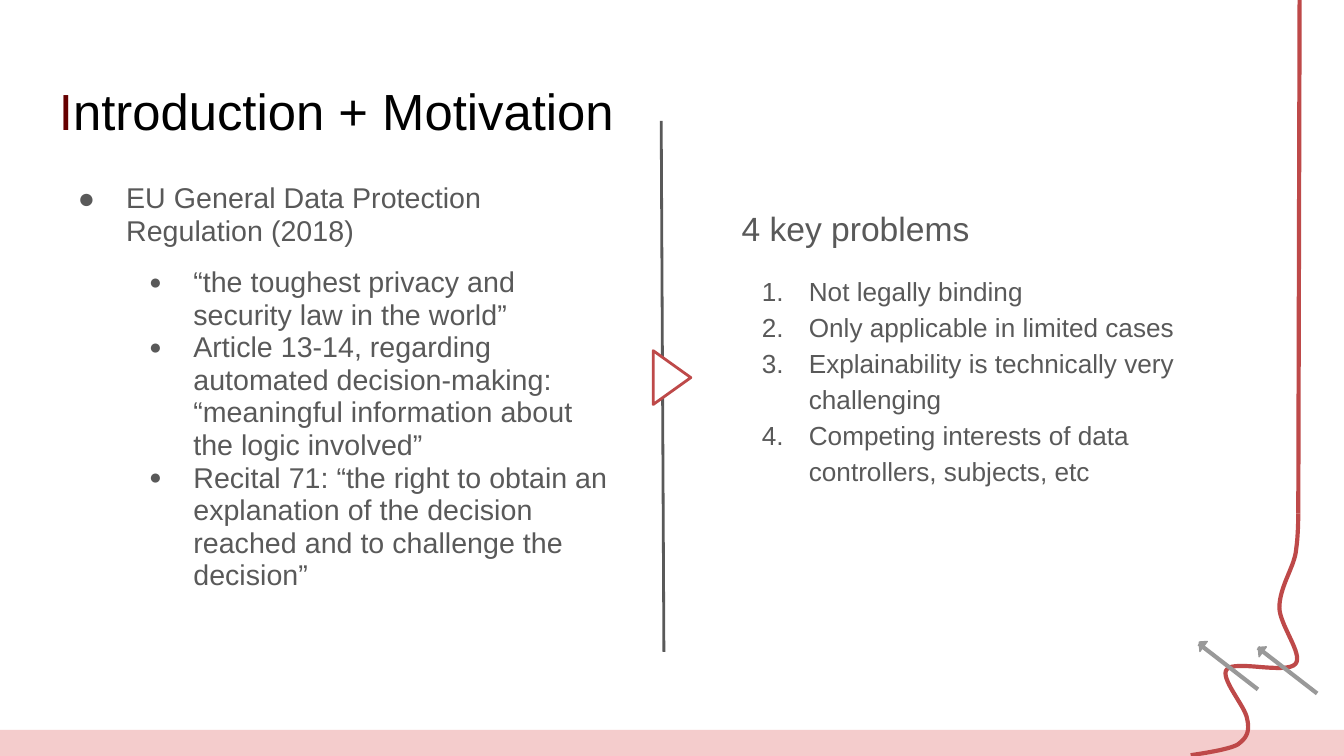
"""Build the Introduction + Motivation slide on a grid of 100 columns by 56.25 rows."""
from lxml import etree
from pptx import Presentation
from pptx.dml.color import RGBColor
from pptx.enum.shapes import MSO_CONNECTOR, MSO_SHAPE
from pptx.oxml.ns import qn
from pptx.util import Inches, Pt

STRAIGHT = MSO_CONNECTOR.STRAIGHT
RECTANGLE = MSO_SHAPE.RECTANGLE
TRIANGLE = MSO_SHAPE.ISOSCELES_TRIANGLE
RIGHT_TRIANGLE = MSO_SHAPE.RIGHT_TRIANGLE
CELL = Inches(0.1)
COLOURS = {
    "black": "000000", "maroon": "660000", "text": "595959", "white": "FFFFFF",
    "pink": "F4CCCC", "red": "BE4949", "grey": "999999",
}


def cells(*counts):
    return [round(n * CELL) for n in counts]


def write(p, text, size=14, colour="text", left=0, hang=0, spacing=1, before=0,
          bullet=None, bullet_size=100):
    p.line_spacing = spacing
    p.space_before = Pt(before)
    pPr = p._p.get_or_add_pPr()
    margin, indent = cells(left, -hang)
    pPr.set("marL", str(margin))
    pPr.set("indent", str(indent))
    if bullet:
        clr = etree.SubElement(pPr, qn("a:buClr"))
        etree.SubElement(clr, qn("a:srgbClr"), val=COLOURS[colour])
        etree.SubElement(pPr, qn("a:buSzPct"), val=str(bullet_size * 1000))
        etree.SubElement(pPr, qn("a:buFont"), typeface="Arial")
        if bullet == "1.":
            etree.SubElement(pPr, qn("a:buAutoNum"), type="arabicPeriod")
        else:
            etree.SubElement(pPr, qn("a:buChar"), char=bullet)
    r = p.add_run()
    r.text = text
    r.font.name = "Arial"
    r.font.size = Pt(size)
    r.font.color.rgb = RGBColor.from_string(COLOURS[colour])


prs = Presentation()
prs.slide_width, prs.slide_height = cells(100, 56.25)
s = prs.slides.add_slide(prs.slide_layouts[6])

frames = {}
for name, box in {
    "problems": (49.2, 14, 43.4, 37.4),
    "title": (3.4, 4.9, 93.2, 6.3),
    "law": (3.4, 12.6, 43.1, 37.4),
}.items():
    tf = s.shapes.add_textbox(*cells(*box)).text_frame
    tf.word_wrap = True
    tf.margin_left = tf.margin_right = tf.margin_top = tf.margin_bottom = CELL
    frames[name] = tf

p = frames["title"].paragraphs[0]
write(p, "I", size=27.2, colour="maroon")
write(p, "ntroduction + Motivation", size=27.2, colour="black")

write(frames["problems"].paragraphs[0], "4 key problems", size=18, left=5, spacing=1.15)
for i, text in enumerate([
    "Not legally binding",
    "Only applicable in limited cases",
    "Explainability is technically very challenging",
    "Competing interests of data controllers, subjects, etc",
]):
    write(frames["problems"].add_paragraph(), text, left=10, hang=3.5, spacing=1.15,
          before=0 if i else 12, bullet="1.")

write(frames["law"].paragraphs[0], "EU General Data Protection Regulation (2018)",
      size=15.3, left=5, hang=3.6, spacing=0.95, bullet="●")
for i, text in enumerate([
    "“the toughest privacy and security law in the world”",
    "Article 13-14, regarding automated decision-making: "
    "“meaningful information about the logic involved”",
    "Recital 71: “the right to obtain an explanation of the decision "
    "reached and to challenge the decision”",
]):
    write(frames["law"].add_paragraph(), text, size=15.3, left=10, hang=3.3, spacing=0.95,
          before=0 if i else 10, bullet="●", bullet_size=74)

footer = s.shapes.add_shape(RECTANGLE, *cells(0, 54.3, 100, 1.95))

thread = [
    (88.6, 56.2), (89.2, 56.1), (91.4, 55.8), (92.1, 55.4),
    (92.8, 54.9), (93, 54.4), (92.8, 53.5),
    (92.7, 52.6), (90.7, 50.4), (91.3, 49.8),
    (91.9, 49.1), (95.7, 50.2), (96.4, 49.4),
    (97, 48.7), (95.2, 46.5), (95.2, 45.2),
    (95.2, 43.8), (96.2, 42.3), (96.4, 41.2),
    (96.6, 40), (96.6, 38.7), (96.6, 38.2),
]
STEPS = 16
points = []
for i in range(0, len(thread) - 1, 3):
    for step in range(1, STEPS + 1):
        t = step / STEPS
        weights = ((1 - t) ** 3, 3 * t * (1 - t) ** 2, 3 * t * t * (1 - t), t ** 3)
        points.append(cells(*(sum(w * c for w, c in zip(weights, axis))
                              for axis in zip(*thread[i:i + 4]))))
builder = s.shapes.build_freeform(*cells(*thread[0]))
builder.add_line_segments(points, close=False)
curve = builder.convert_to_shape()

styled = [(footer, "pink", None, 0), (curve, None, "red", 2.25)]
lines = [((96.6, 38.2, 96.7, -0.1), "red", 2.25), ((49.2, 9, 49.4, 48.5), "text", 1.5)]
for x, y in [(89.2, 47.9), (93.6, 48.2)]:
    lines.append(((x, y, x + 4.4, y + 3.4), "grey", 2.25))
for ends, colour, width in lines:
    line = s.shapes.add_connector(STRAIGHT, *cells(*ends))
    line.line.color.rgb = RGBColor.from_string(COLOURS[colour])
    line.line.width = Pt(width)
    etree.SubElement(line._element.spPr, qn("a:effectLst"))

for x, y in [(89.2, 47.8), (93.6, 48.2)]:
    head = s.shapes.add_shape(RIGHT_TRIANGLE, *cells(x, y, 0.7, 0.6))
    head.rotation = 85.8
    styled.append((head, "grey", "grey", 0.75))

pointer = s.shapes.add_shape(TRIANGLE, *cells(48, 26.7, 4, 2.8))
pointer.rotation = 90
styled.append((pointer, "white", "red", 1.5))

for sp, fill, outline, width in styled:
    sp.shadow.inherit = False
    if fill:
        sp.fill.solid()
        sp.fill.fore_color.rgb = RGBColor.from_string(COLOURS[fill])
    else:
        sp.fill.background()
    if outline:
        sp.line.color.rgb = RGBColor.from_string(COLOURS[outline])
        sp.line.width = Pt(width)
    else:
        sp.line.fill.background()

prs.save("out.pptx")
